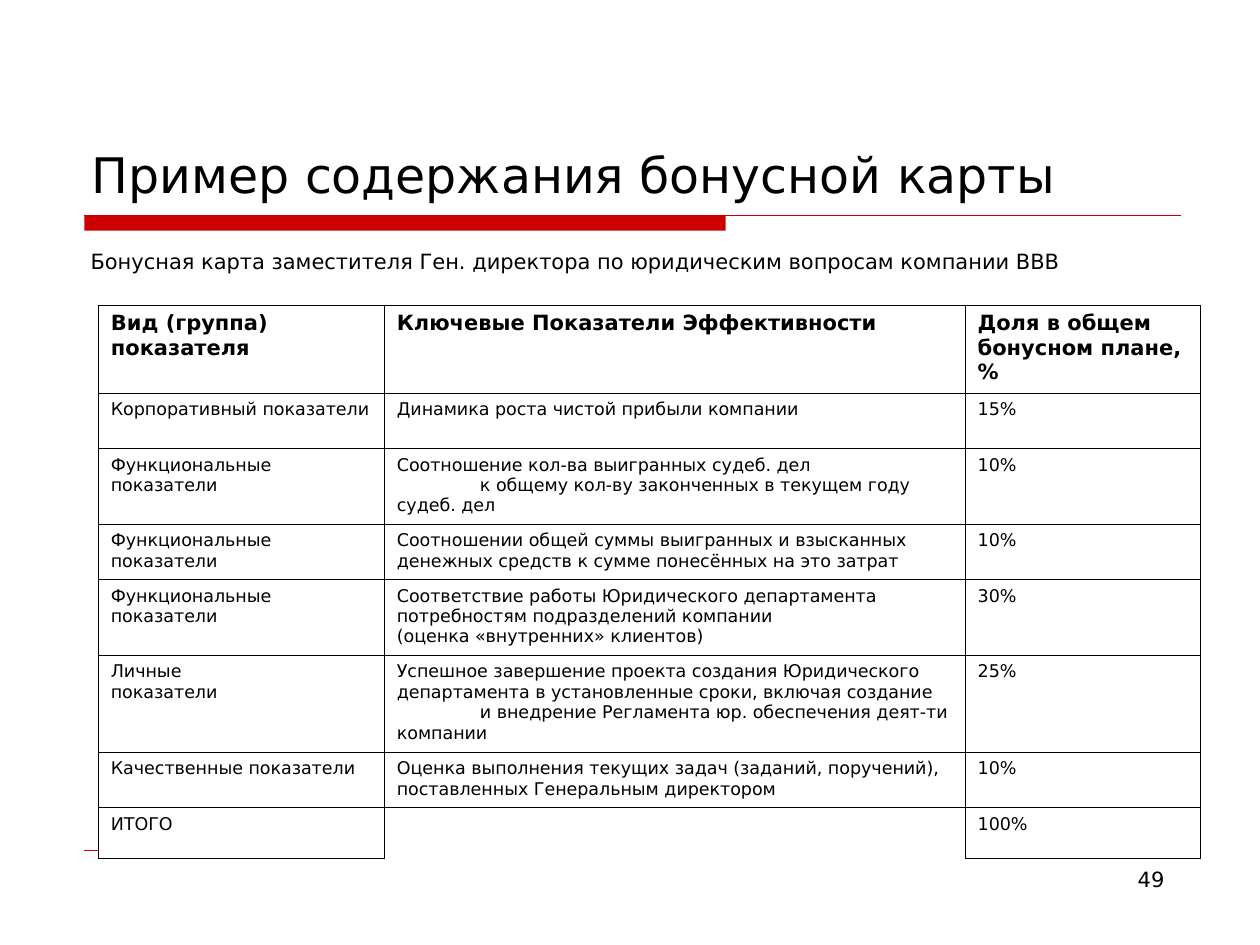
from lxml import etree
from pptx import Presentation
from pptx.dml.color import RGBColor
from pptx.enum.shapes import MSO_CONNECTOR, MSO_SHAPE
from pptx.enum.text import MSO_ANCHOR, PP_ALIGN
from pptx.oxml.ns import qn
from pptx.util import Inches, Pt

LINE, RECT = MSO_CONNECTOR.STRAIGHT, MSO_SHAPE.RECTANGLE
TOP, BOTTOM = MSO_ANCHOR.TOP, MSO_ANCHOR.BOTTOM
LEFT, RIGHT = PP_ALIGN.LEFT, PP_ALIGN.RIGHT
FONT = "DejaVu Sans"
BLACK = RGBColor(0x00, 0x00, 0x00)
WHITE = RGBColor(0xFF, 0xFF, 0xFF)
RED = RGBColor(0xCC, 0x00, 0x00)

COL_WIDTHS = [2.27, 4.61, 1.87]
ROW_HEIGHTS = [0.7, 0.44, 0.59, 0.44, 0.6, 0.75, 0.44, 0.4]
INDENT = Inches(0.66)
FUNCTIONAL = "Функциональные\nпоказатели"
# A line that starts with a tab gets a first-line indent
ROWS = [
    ("Вид (группа)\nпоказателя", "Ключевые Показатели Эффективности",
     "Доля в общем бонусном плане,\n%"),
    ("Корпоративный показатели", "Динамика роста чистой прибыли компании", "15%"),
    (FUNCTIONAL, "Соотношение кол-ва выигранных судеб. дел\n"
     "\tк общему кол-ву законченных в текущем году судеб. дел", "10%"),
    (FUNCTIONAL, "Соотношении общей суммы выигранных и взысканных денежных средств "
     "к сумме понесённых на это затрат", "10%"),
    (FUNCTIONAL, "Соответствие работы Юридического департамента потребностям "
     "подразделений компании\n(оценка «внутренних» клиентов)", "30%"),
    ("Личные\nпоказатели", "Успешное завершение проекта создания Юридического "
     "департамента в установленные сроки, включая создание\n"
     "\tи внедрение Регламента юр. обеспечения деят-ти компании", "25%"),
    ("Качественные показатели", "Оценка выполнения текущих задач (заданий, поручений), "
     "поставленных Генеральным директором", "10%"),
    ("ИТОГО", "", "100%"),
]


def style_run(r, size, bold=False):
    r.font.name, r.font.size, r.font.bold = FONT, Pt(size), bold
    r.font.color.rgb = BLACK


def add_text(s, box, text, size, align=LEFT, anchor=TOP, before=0):
    tf = s.shapes.add_textbox(*map(Inches, box)).text_frame
    tf.word_wrap, tf.vertical_anchor = True, anchor
    tf.text = text
    p = tf.paragraphs[0]
    p.alignment, p.space_before = align, Pt(before)
    style_run(p.runs[0], size)


def add_line(s, x1, x2, y, width):
    c = s.shapes.add_connector(LINE, *map(Inches, (x1, y, x2, y)))
    c.line.color.rgb, c.line.width = RED, Pt(width)
    etree.SubElement(c._element.spPr, qn("a:effectLst"))


def add_rules(s, x, y, bar_width, width, height):
    # Thick bar under the title with a thin line running on, and the footer line
    bar = s.shapes.add_shape(RECT, *map(Inches, (x, y, bar_width, height)))
    bar.shadow.inherit = False
    bar.fill.solid()
    bar.fill.fore_color.rgb = RED
    bar.line.fill.background()
    add_line(s, x, x + width, y, 0.75)
    add_line(s, x, 9.33, 6.75, 0.25)


def set_borders(cell, sides):
    tc_pr = cell._tc.get_or_add_tcPr()
    for side in "LRTB":
        ln = etree.SubElement(tc_pr, qn(f"a:ln{side}"), w=str(Pt(0.45)))
        if side in sides:
            fill = etree.SubElement(ln, qn("a:solidFill"))
            etree.SubElement(fill, qn("a:srgbClr"), val=str(BLACK))
        else:
            etree.SubElement(ln, qn("a:noFill"))


def fill_cell(cell, text, size, bold):
    set_borders(cell, "LRTB" if text else "LRT")
    cell.fill.solid()
    cell.fill.fore_color.rgb = WHITE
    tf = cell.text_frame
    tf.text = text.replace("\t", "")
    for p, line in zip(tf.paragraphs, text.split("\n")):
        if line.startswith("\t"):
            p._p.get_or_add_pPr().set("indent", str(INDENT))
        for r in p.runs:
            style_run(r, size, bold)


def add_bonus_table(s, x, y):
    box = map(Inches, (x, y, sum(COL_WIDTHS), sum(ROW_HEIGHTS)))
    table = s.shapes.add_table(len(ROWS), len(COL_WIDTHS), *box).table
    table.horz_banding = False
    for col, width in zip(table.columns, COL_WIDTHS):
        col.width = Inches(width)
    for i, (row, height) in enumerate(zip(table.rows, ROW_HEIGHTS)):
        row.height = Inches(height)
        header = i == 0
        for cell, text in zip(row.cells, ROWS[i]):
            fill_cell(cell, text, 12 if header else 10, header)


def main():
    prs = Presentation()
    prs.slide_width, prs.slide_height = Inches(10), Inches(7.5)
    s = prs.slides.add_slide(prs.slide_layouts[6])
    add_rules(s, 0.67, 1.71, 5.09, 8.7, 0.12)
    # Title, subtitle and page number
    add_text(s, (0.63, 0.33, 8.75, 1.33), "Пример содержания бонусной карты", 28,
             anchor=BOTTOM)
    add_text(s, (0.62, 1.92, 8.75, 4.67), "Бонусная карта заместителя Ген. директора "
             "по юридическим вопросам компании ВВВ", 12, before=3)
    add_text(s, (7.17, 6.83, 2.17, 0.52), "49", 12, align=RIGHT)
    add_bonus_table(s, 0.78, 2.42)
    prs.save("out.pptx")


if __name__ == "__main__":
    main()
